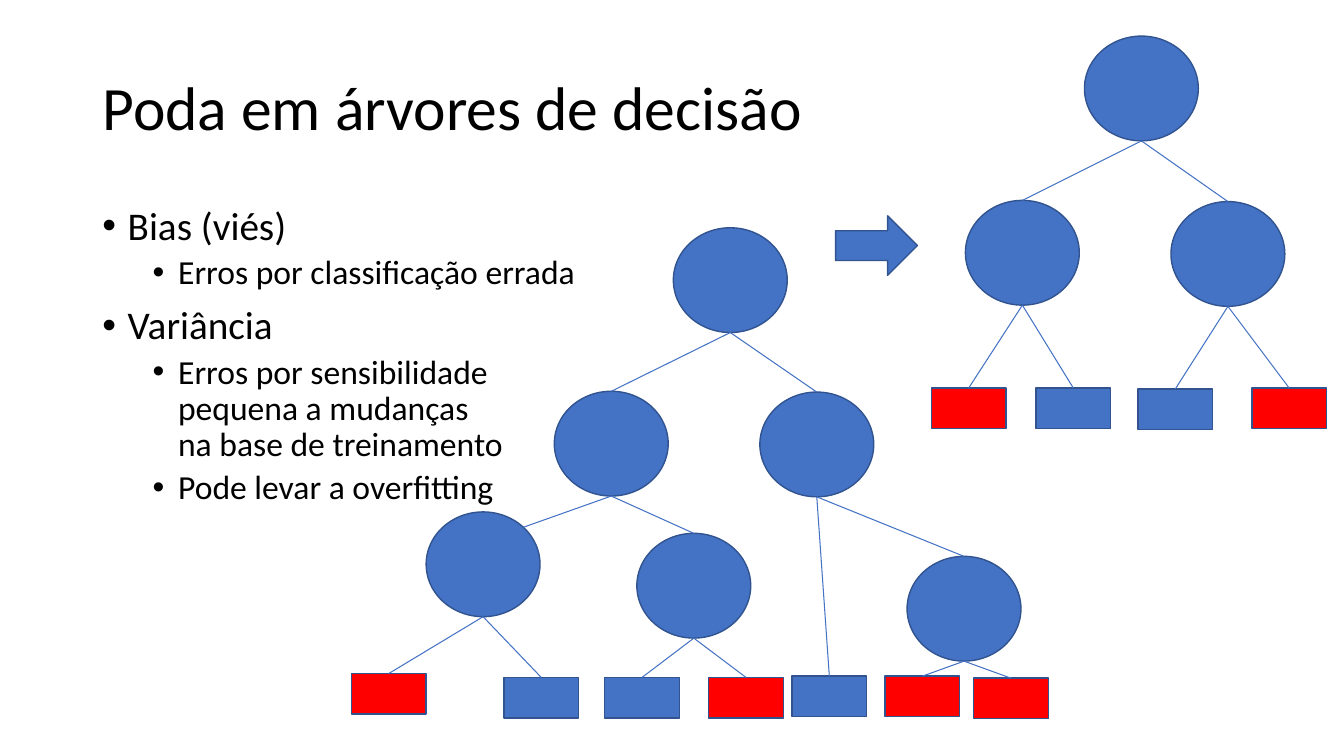
import math

from lxml import etree
from pptx import Presentation
from pptx import util as u
from pptx.dml.color import RGBColor
from pptx.enum import shapes, text
from pptx.oxml.ns import qn

TITLE = "Poda em árvores de decisão"
BULLETS = [  # level, text
    (0, "Bias (viés)"),
    (1, "Erros por classificação errada"),
    (0, "Variância"),
    (1, "Erros por sensibilidade\vpequena a mudanças\vna base de treinamento"),
    (1, "Pode levar a overfitting"),
]
LEVELS = [  # size pt, space before pt, left margin cm
    (28, 10, 0.64),
    (24, 5, 1.91),
]
FONT, BLACK = "Calibri", "000000"
BLUE, RED, OUTLINE = "4472C4", "FF0000", "31538F"

# Each node: kind, left, top (cm), children
PRUNED_TREE = ("node", 27.33, 0.91, [
    ("node", 24.33, 5.05, [("red", 23.47, 9.78, []), ("blue", 26.11, 9.78, [])]),
    ("node", 29.51, 5.08, [("blue", 28.68, 9.8, []), ("red", 31.55, 9.78, [])]),
])
FULL_TREE = ("node", 16.97, 5.74, [
    ("node", 13.97, 9.86, [
        ("side node", 10.74, 12.9, [("red", 8.86, 16.97, []), ("blue", 12.7, 17.07, [])]),
        ("node", 16.05, 13.44, [("blue", 15.24, 17.07, []), ("red", 17.86, 17.07, [])]),
    ]),
    ("node", 19.15, 9.88, [
        ("blue", 19.96, 17.04, []),
        ("node", 22.86, 14.02, [("red", 22.3, 17.04, []), ("red", 24.54, 17.09, [])]),
    ]),
])
OVAL, RECT = shapes.MSO_SHAPE.OVAL, shapes.MSO_SHAPE.RECTANGLE
KINDS = {  # shape, width, height (cm), fill
    "node": (OVAL, 2.87, 2.64, BLUE),
    "side node": (OVAL, 2.87, 2.64, BLUE),  # its branch enters at the upper right
    "blue": (RECT, 1.88, 1.02, BLUE),
    "red": (RECT, 1.88, 1.02, RED),
}


def color(value):
    return RGBColor.from_string(value)


def format_font(p, size):
    for r in p.runs:
        for name, value in {"name": FONT, "size": u.Pt(size)}.items():
            setattr(r.font, name, value)
        r.font.color.rgb = color(BLACK)


def add_filled(container, kind, box, fill):
    sp = container.add_shape(kind, *map(u.Cm, box))
    sp.shadow.inherit = False
    sp.fill.solid()
    sp.fill.fore_color.rgb = color(fill)
    sp.line.color.rgb = color(OUTLINE)
    sp.line.width = u.Pt(1)
    return sp


def add_branch(container, parent, child, from_side):
    x, y = child.left + child.width / 2, child.top
    if from_side:
        x += child.width / 2 * math.sqrt(0.5)
        y += child.height / 2 * (1 - math.sqrt(0.5))
    line = container.add_connector(
        shapes.MSO_CONNECTOR.STRAIGHT,
        parent.left + parent.width // 2, parent.top + parent.height, int(x), int(y))
    if not from_side:
        line.end_connect(child, 0)
    line.line.color.rgb = color(BLUE)
    line.line.width = u.Pt(0.75)
    etree.SubElement(line._element.spPr, qn("a:effectLst"))


def add_tree(container, tree):
    """Draw a node and everything below it; return the node's shape."""
    kind, left, top, children = tree
    shape, width, height, fill = KINDS[kind]
    sp = add_filled(container, shape, (left, top, width, height), fill)
    for child in children:
        add_branch(container, sp, add_tree(container, child), child[0] == "side node")
    return sp


def add_title(slide):
    title = slide.shapes.title
    box = {"left": 2.33, "top": 0.95, "width": 29.21, "height": 3.68}
    for name, value in box.items():
        setattr(title, name, u.Cm(value))
    tf = title.text_frame
    tf.text = TITLE
    frame = {"vertical_anchor": text.MSO_ANCHOR.MIDDLE, "word_wrap": True,
             "auto_size": text.MSO_AUTO_SIZE.NONE}
    for name, value in frame.items():
        setattr(tf, name, value)
    p = tf.paragraphs[0]
    p.alignment, p.line_spacing = text.PP_ALIGN.LEFT, 0.9
    format_font(p, 44)


def add_bullets(slide):
    body = slide.shapes.add_textbox(*map(u.Cm, (2.33, 5.07, 29.21, 12.09)))
    tf = body.text_frame
    tf.word_wrap = True
    for i, (level, words) in enumerate(BULLETS):
        p = tf.add_paragraph() if i else tf.paragraphs[0]
        size, before, margin = LEVELS[level]
        p.text, p.level, p.line_spacing = words, level, 0.9
        p.space_before = u.Pt(before if i else 0)
        format_font(p, size)
        pPr = p._p.get_or_add_pPr()
        pPr.set("marL", str(u.Cm(margin)))
        pPr.set("indent", str(-u.Cm(0.64)))
        etree.SubElement(pPr, qn("a:buFont"), typeface="Arial")
        etree.SubElement(pPr, qn("a:buChar"), char="•")


def main():
    prs = Presentation()
    prs.slide_width, prs.slide_height = u.Cm(33.87), u.Cm(19.05)
    slide = prs.slides.add_slide(prs.slide_layouts[5])
    add_title(slide)
    add_bullets(slide)
    for tree in (PRUNED_TREE, FULL_TREE):
        add_tree(slide.shapes.add_group_shape().shapes, tree)
    add_filled(slide.shapes, shapes.MSO_SHAPE.RIGHT_ARROW, (21.06, 5.44, 2.06, 1.5), BLUE)
    prs.save("out.pptx")


if __name__ == "__main__":
    main()
